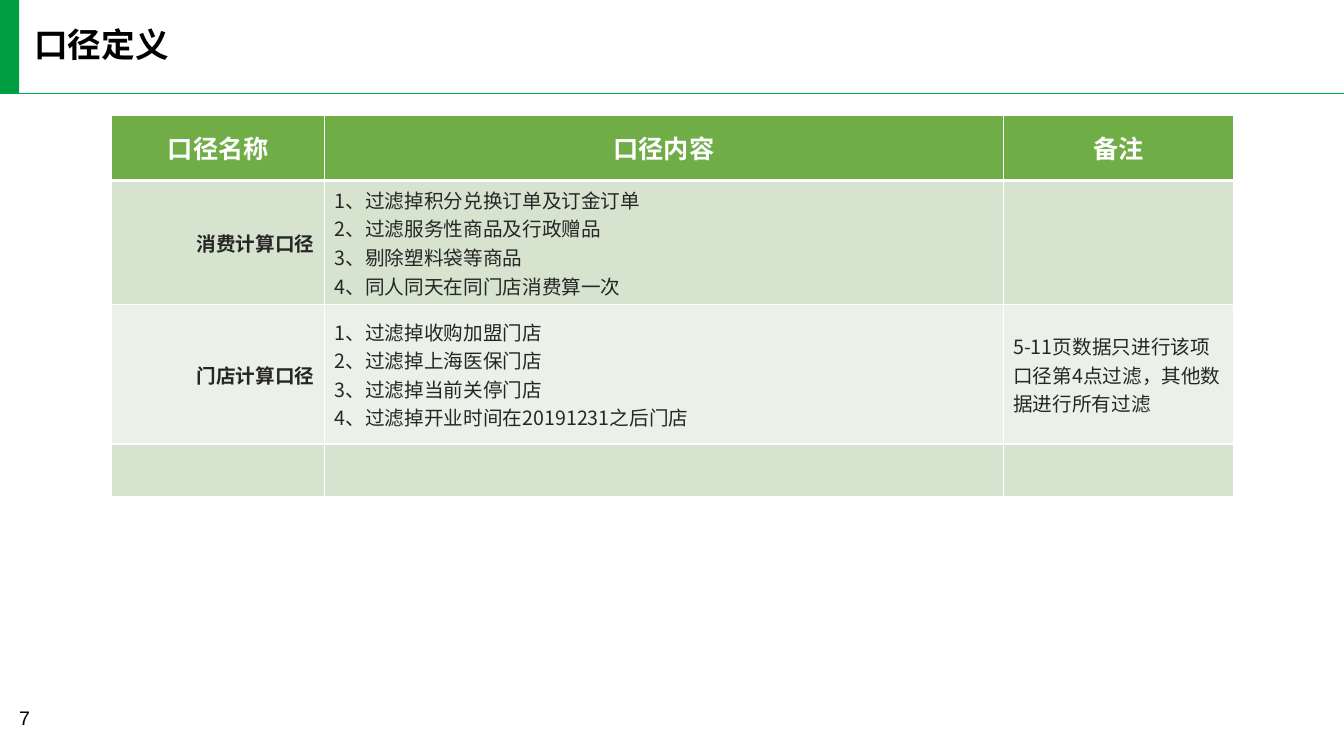
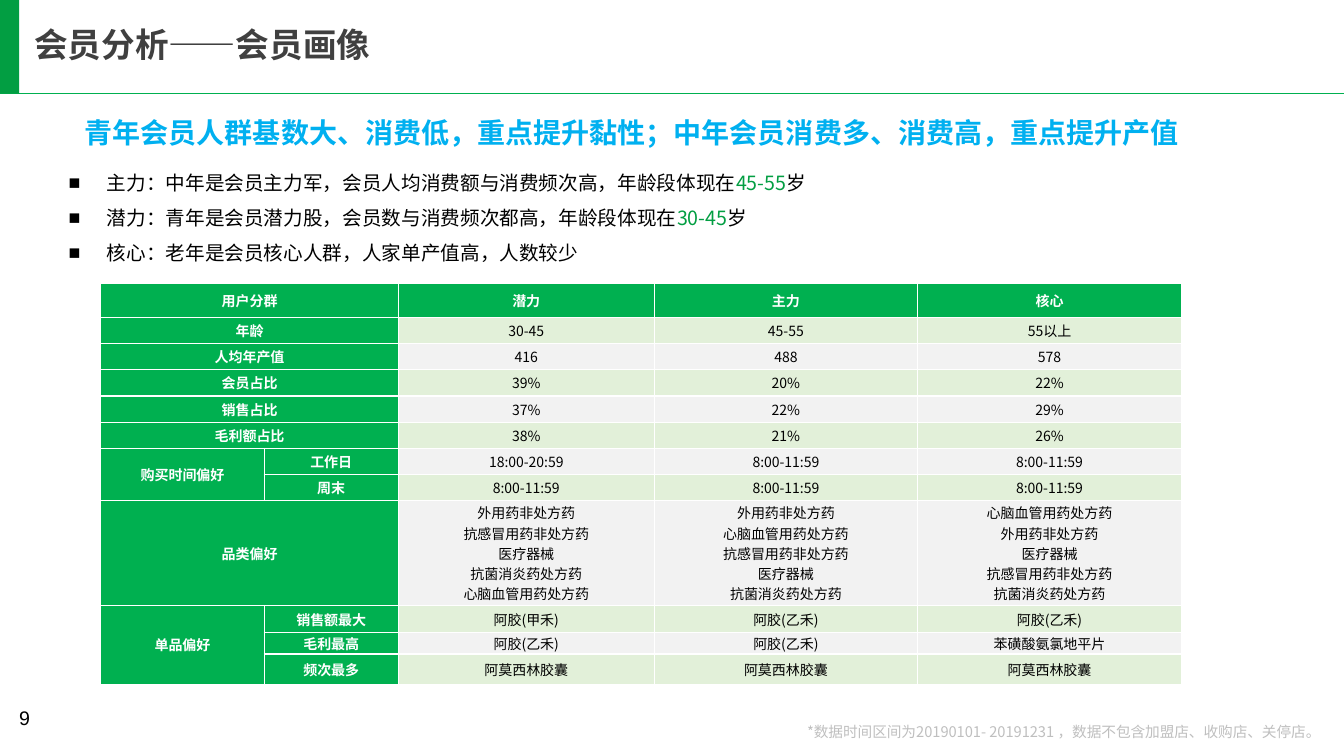
from lxml import etree
from pptx import Presentation
from pptx.dml.color import RGBColor
from pptx.enum.shapes import MSO_CONNECTOR, MSO_SHAPE
from pptx.enum.text import MSO_ANCHOR, MSO_AUTO_SIZE, PP_ALIGN
from pptx.oxml.ns import qn
from pptx.util import Inches, Pt

LEFT, MID, RIGHT = PP_ALIGN.LEFT, PP_ALIGN.CENTER, PP_ALIGN.RIGHT
TOP, CENTER = MSO_ANCHOR.TOP, MSO_ANCHOR.MIDDLE
NOFIT = MSO_AUTO_SIZE.NONE
RECT, LINE = MSO_SHAPE.RECTANGLE, MSO_CONNECTOR.STRAIGHT
CJK, SANS = "Noto Sans CJK SC", "Arial"
LISTS, PLAIN = 1, 5  # layouts: title with body, title only

HUES = {
    "black": "000000", "dark": "404040", "ink": "262626", "white": "FFFFFF",
    "pale": "BFBFBF", "sky": "00B0F0", "bar": "029E42", "rule": "00B050",
    "leaf": "70AD47", "sage": "D5E3CF", "mist": "EBF1E9",
    "mint": "E2F0D9", "grey": "F2F2F2",
}


def hue(name):
    return RGBColor.from_string(HUES[name])


class Deck:
    """Holds the style and the current slide."""

    def __init__(self):
        self.file = Presentation()
        self.file.slide_width = Inches(13.33)
        self.file.slide_height = Inches(7.5)
        self.slide = None

    def page(self, title, num, ink="black", kind=PLAIN):
        """Start a slide with its title, rule, bar and page number."""
        self.slide = self.file.slides.add_slide(self.file.slide_layouts[kind])
        shapes = self.slide.shapes
        rule = shapes.add_connector(
            LINE, 0, Inches(0.93), self.file.slide_width, Inches(0.93))
        rule.line.color.rgb = hue("rule")
        rule.line.width = Pt(1)
        etree.SubElement(rule._element.spPr, qn("a:effectLst"))
        bar = shapes.add_shape(
            RECT, 0, Inches(-0.01), Inches(0.19), Inches(0.94))
        bar.shadow.inherit = False
        bar.fill.solid()
        bar.fill.fore_color.rgb = hue("bar")
        bar.line.fill.background()
        frame = self.frame(shapes.title, (0.34, 0.28, 6.29, 0.36), TOP)
        self.para(frame, [(title, ink)], 24, bold=True, lead=0.9)
        self.text((0.19, 7, 0.8, 0.3), num, 14, "black", font=SANS)

    def frame(self, box, at, anchor):
        """Place a text shape and clear its insets."""
        box.left, box.top, box.width, box.height = map(Inches, at)
        frame = box.text_frame
        frame.word_wrap = True
        frame.auto_size = NOFIT
        frame.vertical_anchor = anchor
        frame.margin_left = frame.margin_right = 0
        frame.margin_top = frame.margin_bottom = 0
        return frame

    def para(self, frame, runs, size, bold=False, side=LEFT, lead=None,
             font=CJK, new=False, dot=False):
        """Write one paragraph, run by run; runs are (text, hue) pairs."""
        par = frame.add_paragraph() if new else frame.paragraphs[0]
        if dot:
            props = par._p.get_or_add_pPr()
            props.set("marL", str(Inches(0.38)))
            props.set("indent", str(-Inches(0.38)))
            etree.SubElement(props, qn("a:buFont"), typeface=SANS)
            etree.SubElement(props, qn("a:buChar"), char="■")
        par.alignment = side
        par.space_before = Pt(0)
        if lead:
            par.line_spacing = lead
        for words, ink in runs:
            run = par.add_run()
            run.text = words
            run.font.size = Pt(size)
            run.font.bold = bold
            run.font.color.rgb = hue(ink)
            run.font.name = font
            etree.SubElement(run._r.rPr, qn("a:ea"), typeface=font)

    def text(self, at, words, size, ink, anchor=TOP, **style):
        box = self.slide.shapes.add_textbox(0, 0, 0, 0)
        frame = self.frame(box, at, anchor)
        self.para(frame, [(words, ink)], size, **style)

    def bullets(self, at, items, size):
        frame = self.frame(self.slide.placeholders[1], at, CENTER)
        for i, runs in enumerate(items):
            self.para(frame, runs, size, lead=1.5, new=i > 0, dot=True)

    def edges(self, cell, foot):
        """White cell borders; foot is the width of the lower one."""
        props = cell._tc.get_or_add_tcPr()
        for tag, wide in (("lnL", 1), ("lnR", 1), ("lnT", 1), ("lnB", foot)):
            line = etree.SubElement(props, qn("a:" + tag), w=str(Pt(wide)))
            fill = etree.SubElement(line, qn("a:solidFill"))
            etree.SubElement(fill, qn("a:srgbClr"), val=HUES["white"])

    def table(self, at, cols, rows, data, look, spans=(), foot=1):
        """Draw a table; look(row, col) gives fill, pad and text style."""
        left, top = map(Inches, at)
        grid = self.slide.shapes.add_table(
            len(rows), len(cols), left, top,
            Inches(sum(cols)), Inches(sum(rows))).table
        grid.first_row = grid.horz_banding = False
        for col, wide in zip(grid.columns, cols):
            col.width = Inches(wide)
        for row, high in zip(grid.rows, rows):
            row.height = Inches(high)
        for r, line in enumerate(data):
            # The upper edge of the second row meets the thick header edge
            for c, words in enumerate(line):
                cell = grid.cell(r, c)
                fill, pad, style = look(r, c)
                self.edges(cell, foot if r == 0 else 1)
                cell.fill.solid()
                cell.fill.fore_color.rgb = hue(fill)
                cell.vertical_anchor = CENTER
                cell.margin_left = cell.margin_right = Inches(pad)
                cell.margin_top = cell.margin_bottom = Inches(pad / 2)
                style = dict(style)
                ink = style.pop("ink")
                for i, part in enumerate(words.split("\n") if words else []):
                    self.para(cell.text_frame, [(part, ink)],
                              new=i > 0, **style)
        for (r, c), (down, over) in spans:
            grid.cell(r, c).merge(grid.cell(r + down - 1, c + over - 1))


# Table looks
def rules_look(r, c):
    if r == 0:
        return "leaf", 0, dict(ink="white", size=18, bold=True, side=MID)
    side = RIGHT if c == 0 else LEFT
    return ("sage" if r % 2 else "mist", 0.1,
            dict(ink="ink", size=14, bold=c == 0, side=side))


def group_look(r, c):
    head = r == 0 or c < 2
    fill = "rule" if head else "mint" if r % 2 else "grey"
    ink = "white" if head else "black"
    return fill, 0, dict(ink=ink, size=10, bold=head, side=MID)


RULES = [
    ["口径名称", "口径内容", "备注"],
    ["消费计算口径",
     "1、过滤掉积分兑换订单及订金订单\n2、过滤服务性商品及行政赠品\n"
     "3、剔除塑料袋等商品\n4、同人同天在同门店消费算一次", ""],
    ["门店计算口径",
     "1、过滤掉收购加盟门店\n2、过滤掉上海医保门店\n"
     "3、过滤掉当前关停门店\n4、过滤掉开业时间在20191231之后门店",
     "5-11页数据只进行该项口径第4点过滤，其他数据进行所有过滤"],
    ["", "", ""],
]

GROUPS = [
    ["用户分群", "", "潜力", "主力", "核心"],
    ["年龄", "", "30-45", "45-55", "55以上"],
    ["人均年产值", "", "416", "488", "578"],
    ["会员占比", "", "39%", "20%", "22%"],
    ["销售占比", "", "37%", "22%", "29%"],
    ["毛利额占比", "", "38%", "21%", "26%"],
    ["购买时间偏好", "工作日", "18:00-20:59", "8:00-11:59", "8:00-11:59"],
    ["", "周末", "8:00-11:59", "8:00-11:59", "8:00-11:59"],
    ["品类偏好", "",
     "外用药非处方药\n抗感冒用药非处方药\n医疗器械\n抗菌消炎药处方药\n心脑血管用药处方药",
     "外用药非处方药\n心脑血管用药处方药\n抗感冒用药非处方药\n医疗器械\n抗菌消炎药处方药",
     "心脑血管用药处方药\n外用药非处方药\n医疗器械\n抗感冒用药非处方药\n抗菌消炎药处方药"],
    ["单品偏好", "销售额最大", "阿胶(甲禾)", "阿胶(乙禾)", "阿胶(乙禾)"],
    ["", "毛利最高", "阿胶(乙禾)", "阿胶(乙禾)", "苯磺酸氨氯地平片"],
    ["", "频次最多", "阿莫西林胶囊", "阿莫西林胶囊", "阿莫西林胶囊"],
]

POINTS = [
    [("主力：中年是会员主力军，会员人均消费额与消费频次高，年龄段体现在", "black"),
     ("45-55", "bar"), ("岁", "black")],
    [("潜力：青年是会员潜力股，会员数与消费频次都高，年龄段体现在", "black"),
     ("30-45", "bar"), ("岁", "black")],
    [("核心：老年是会员核心人群，人家单产值高，人数较少", "black")],
]


def main():
    deck = Deck()

    # Definitions
    deck.page("口径定义", "7")
    deck.table((1.11, 1.14), [2.11, 6.73, 2.29], [0.65, 1.07, 1.38, 0.52],
               RULES, rules_look, foot=3)

    # Member profile
    deck.page("会员分析——会员画像", "9", "dark", LISTS)
    deck.text((0.84, 1.23, 11.2, 0.25),
              "青年会员人群基数大、消费低，重点提升黏性；中年会员消费多、消费高，重点提升产值",
              20, "sky", CENTER, bold=True, lead=Pt(18))
    deck.bullets((0.68, 1.59, 8.97, 1.02), POINTS, 14)
    wide = [((r, 0), (1, 2)) for r in (0, 1, 2, 3, 4, 5, 8)]
    tall = [((6, 0), (2, 1)), ((9, 0), (3, 1))]
    deck.table((1, 2.81), [1.62, 1.33, 2.54, 2.61, 2.62],
               [0.34] + [0.26] * 7 + [1.04, 0.27, 0.21, 0.3],
               GROUPS, group_look, wide + tall)
    deck.text((7.7, 7.19, 5.4, 0.16),
              "*数据时间区间为20190101- 20191231 ，数据不包含加盟店、收购店、关停店。",
              10.5, "pale", side=RIGHT, lead=0.9)

    deck.file.save("out.pptx")


if __name__ == "__main__":
    main()
